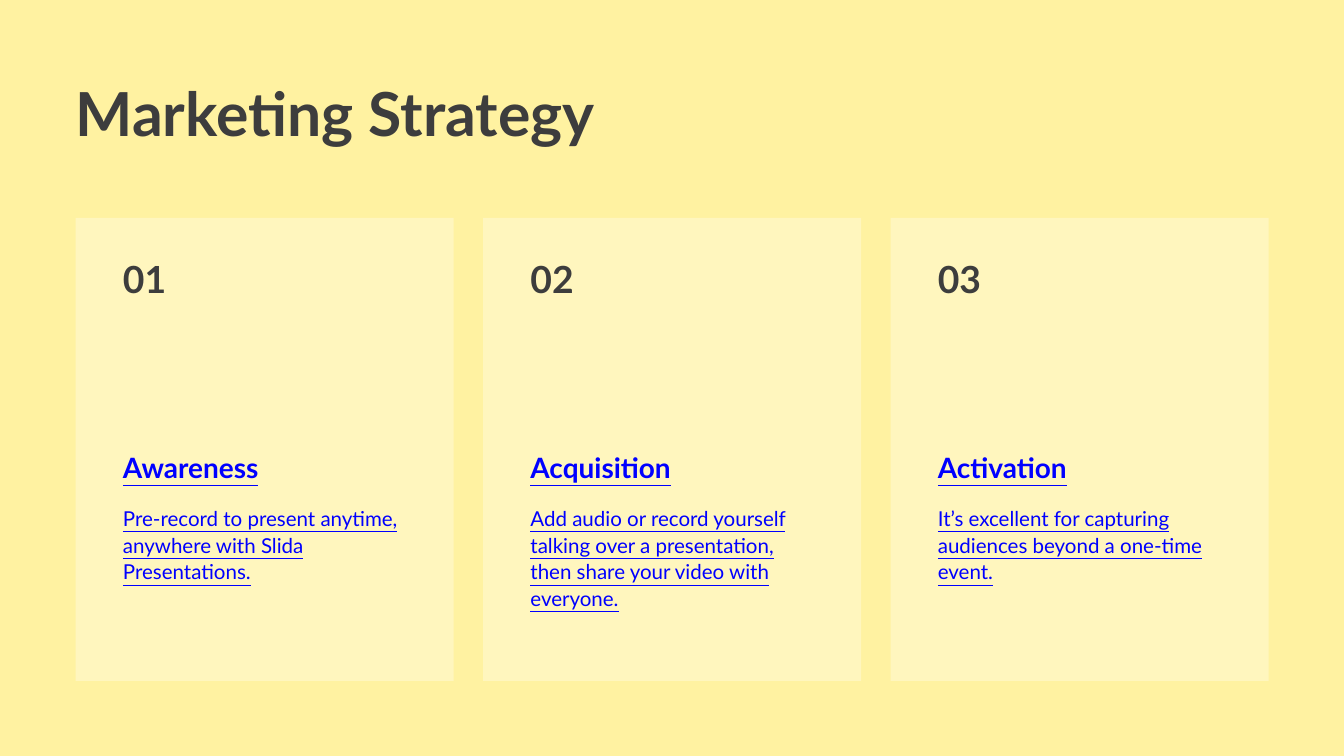
from pptx import Presentation
from pptx.dml.color import RGBColor
from pptx.enum.shapes import MSO_SHAPE
from pptx.enum.text import MSO_AUTO_SIZE
from pptx.util import Cm, Pt

RECTANGLE = MSO_SHAPE.RECTANGLE
FIT_SHAPE = MSO_AUTO_SIZE.SHAPE_TO_FIT_TEXT

TITLE = "Marketing Strategy"
# heading, description, lines of description
STAGES = [
    ("Awareness", "Pre-record to present anytime, anywhere with Slida Presentations.", 3),
    ("Acquisition", "Add audio or record yourself talking over a presentation, "
                    "then share your video with everyone.", 4),
    ("Activation", "It’s excellent for capturing audiences beyond a one-time event.", 3),
]

COLORS = {"background": "FFF2A1", "card": "FFF6BE", "text": "3D3D3D", "link": "0000FF"}
FONT = "Lato"

# Lengths in centimetres
MARGIN = 2.86
CARD_TOP, CARD_WIDTH, CARD_HEIGHT, CARD_STEP = 8.24, 14.29, 17.5, 15.4
PADDING = 1.79
TEXT_WIDTH = CARD_WIDTH - 2 * PADDING
LINE_HEIGHT = 1

# size and line spacing in points
STYLES = {
    "title": dict(size=65, spacing=78, color="text", bold=True, underline=False),
    "number": dict(size=40, spacing=48, color="text", bold=True, underline=False),
    "heading": dict(size=30, spacing=39, color="link", bold=True, underline=True),
    "body": dict(size=22, spacing=28.6, color="link", bold=False, underline=True),
}


def color(name):
    return RGBColor.from_string(COLORS[name])


def add_text(slide, text, style_name, left, top, width, height):
    style = STYLES[style_name]
    box = slide.shapes.add_textbox(Cm(left), Cm(top), Cm(width), Cm(height))
    frame = box.text_frame
    frame.margin_left = frame.margin_right = frame.margin_top = frame.margin_bottom = 0
    frame.word_wrap = True
    frame.auto_size = FIT_SHAPE
    paragraph = frame.paragraphs[0]
    paragraph.text = text
    paragraph.line_spacing = Pt(style["spacing"])
    font = paragraph.font
    font.name = FONT
    font.size = Pt(style["size"])
    font.bold = style["bold"]
    font.underline = style["underline"]
    font.color.rgb = color(style["color"])


def add_card(slide, left):
    card = slide.shapes.add_shape(
        RECTANGLE, Cm(left), Cm(CARD_TOP), Cm(CARD_WIDTH), Cm(CARD_HEIGHT))
    card.shadow.inherit = False
    card.fill.solid()
    card.fill.fore_color.rgb = color("card")
    card.line.fill.background()


def main():
    deck = Presentation()
    deck.slide_width, deck.slide_height = Cm(50.8), Cm(28.58)
    slide = deck.slides.add_slide(deck.slide_layouts[6])
    slide.background.fill.solid()
    slide.background.fill.fore_color.rgb = color("background")

    add_text(slide, TITLE, "title", MARGIN, 2.86, 33.32, 2.75)
    for index, (heading, description, lines) in enumerate(STAGES):
        card_left = MARGIN + index * CARD_STEP
        text_left = card_left + PADDING
        add_card(slide, card_left)
        add_text(slide, f"{index + 1:02}", "number", text_left, 9.7, TEXT_WIDTH, 1.7)
        add_text(slide, heading, "heading", text_left, 16.92, TEXT_WIDTH, 1.32)
        add_text(slide, description, "body", text_left, 19.05, TEXT_WIDTH, lines * LINE_HEIGHT)

    deck.save("out.pptx")


if __name__ == "__main__":
    main()
